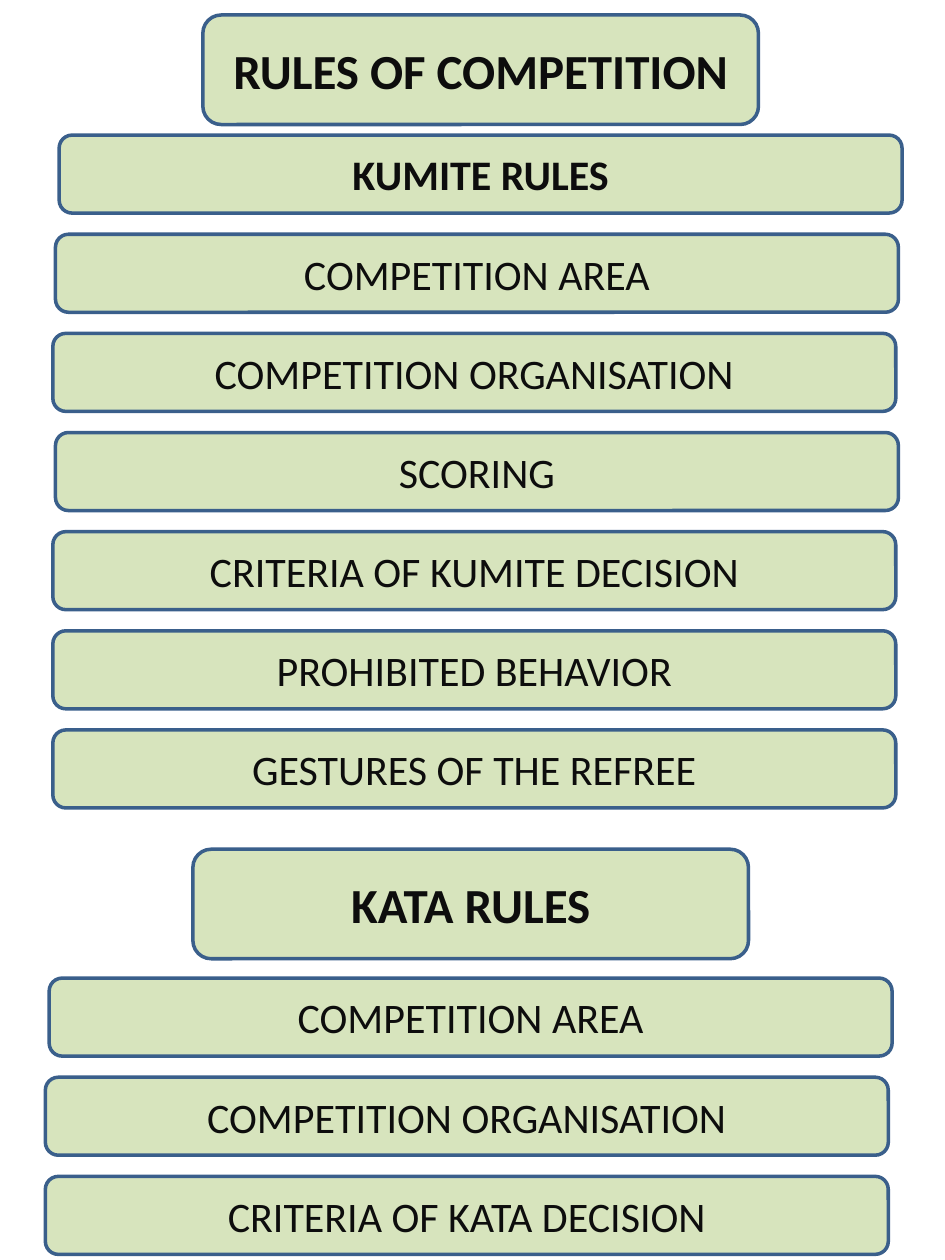
from dataclasses import dataclass

from pptx import Presentation
from pptx.dml.color import RGBColor
from pptx.enum.shapes import MSO_SHAPE
from pptx.enum.text import MSO_ANCHOR, PP_ALIGN
from pptx.util import Pt

ROUNDED = MSO_SHAPE.ROUNDED_RECTANGLE
MIDDLE = MSO_ANCHOR.MIDDLE
CENTER = PP_ALIGN.CENTER

SECTIONS = [
    {
        "title": "RULES OF COMPETITION",
        "title_at": (115.9, 8.6),
        "first_bar_top": 77.2,
        "bars": [
            ("KUMITE RULES", 33.8, True),
            ("COMPETITION AREA", 31.7, False),
            ("COMPETITION ORGANISATION", 30.2, False),
            ("SCORING", 31.7, False),
            ("CRITERIA OF KUMITE DECISION", 30.2, False),
            ("PROHIBITED BEHAVIOR", 30.2, False),
            ("GESTURES OF THE REFREE", 30.2, False),
        ],
    },
    {
        "title": "KATA RULES",
        "title_at": (110.2, 485.3),
        "first_bar_top": 558.9,
        "bars": [
            ("COMPETITION AREA", 28.1, False),
            ("COMPETITION ORGANISATION", 25.9, False),
            ("CRITERIA OF KATA DECISION", 25.9, False),
        ],
    },
]

PAGE_SIZE = (540, 720)
TITLE_SIZE = (317.5, 62.6)
BAR_SIZE = (481.7, 44.6)
BAR_PITCH = 56.65


@dataclass(frozen=True)
class Theme:
    font: str = "Calibri"
    title_size: int = 28
    bar_size: int = 24
    line_width: int = 2
    fill: RGBColor = RGBColor(0xD7, 0xE4, 0xBD)
    line: RGBColor = RGBColor(0x3A, 0x5F, 0x8B)
    text: RGBColor = RGBColor(0x0D, 0x0D, 0x0D)


THEME = Theme()


def add_box(page, text, position, size, font_size, bold):
    box = page.shapes.add_shape(ROUNDED, *map(Pt, position + size))
    box.shadow.inherit = False
    box.fill.solid()
    box.fill.fore_color.rgb = THEME.fill
    box.line.color.rgb = THEME.line
    box.line.width = Pt(THEME.line_width)

    frame = box.text_frame
    frame.text = text
    frame.word_wrap = True
    frame.vertical_anchor = MIDDLE
    para = frame.paragraphs[0]
    para.alignment = CENTER
    font = para.runs[0].font
    font.name = THEME.font
    font.size = Pt(font_size)
    font.bold = bold
    font.color.rgb = THEME.text


def main():
    deck = Presentation()
    deck.slide_width, deck.slide_height = map(Pt, PAGE_SIZE)
    page = deck.slides.add_slide(deck.slide_layouts[6])

    for section in SECTIONS:
        add_box(page, section["title"], section["title_at"], TITLE_SIZE, THEME.title_size, True)
        for index, (text, left, bold) in enumerate(section["bars"]):
            top = section["first_bar_top"] + index * BAR_PITCH
            add_box(page, text, (left, top), BAR_SIZE, THEME.bar_size, bold)

    deck.save("out.pptx")


if __name__ == "__main__":
    main()
